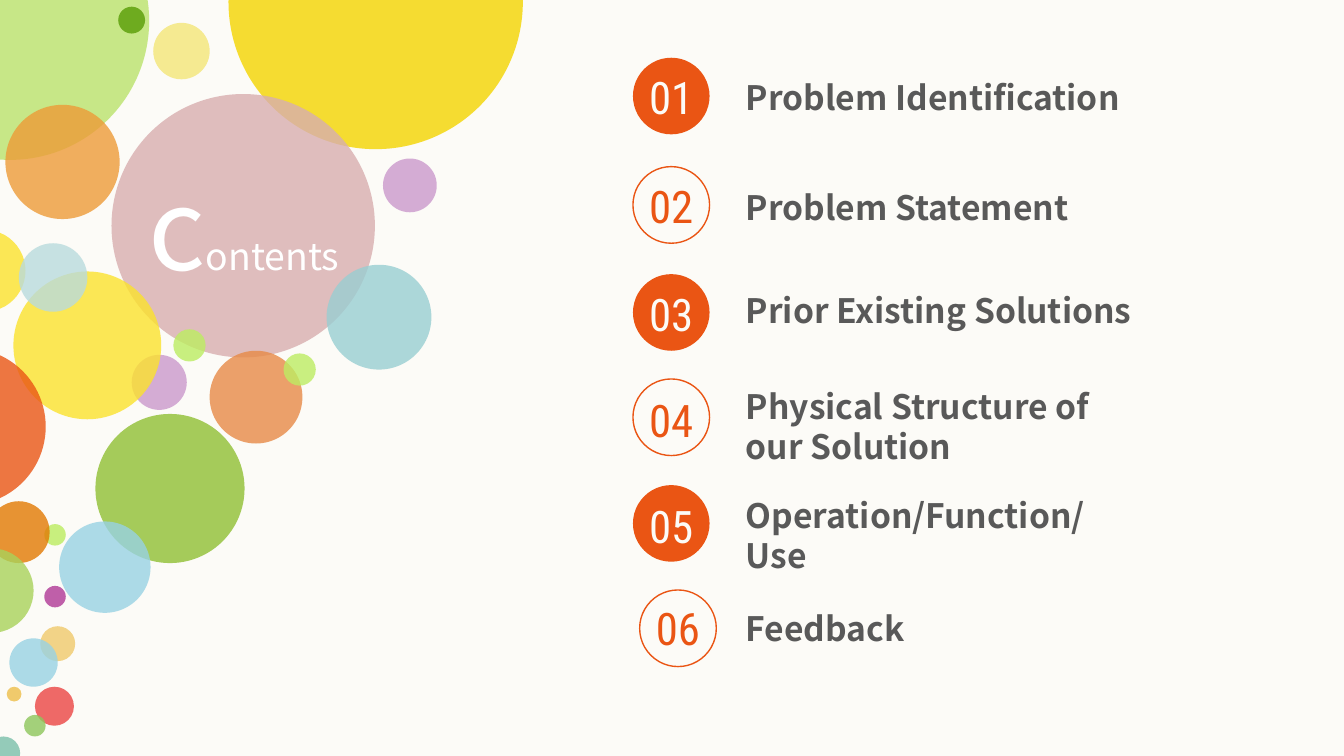
from typing import NamedTuple

from lxml import etree
from pptx import Presentation
from pptx.dml.color import RGBColor
from pptx.enum.shapes import MSO_SHAPE
from pptx.enum.text import MSO_ANCHOR, MSO_AUTO_SIZE, PP_ALIGN
from pptx.oxml.ns import qn
from pptx.util import Pt

OVAL = MSO_SHAPE.OVAL
TOP = MSO_ANCHOR.TOP
GROW = MSO_AUTO_SIZE.SHAPE_TO_FIT_TEXT
LEFT, MID = PP_ALIGN.LEFT, PP_ALIGN.CENTER
SCALE = 9144
SANS, SLIM = "Noto Sans CJK SC", "Roboto Condensed"
PAPER, WHITE, RED, GREY = "FCFBF7", "FFFFFF", "EA5514", "595959"
DISC = 57


class Bubble(NamedTuple):
    left: int
    top: int
    size: int
    hue: str
    alpha: int = 80


class Item(NamedTuple):
    text: str
    top: int
    digit: int
    label: int
    width: int = 276
    height: int = 30
    left: int = 471


class Run(NamedTuple):
    text: str
    size: int
    face: str
    hue: str
    bold: bool = False


BUBBLES = [
    Bubble(-96, -88, 207, "BAE36B"),
    Bubble(88, 5, 20, "6EAB1F", 100),
    Bubble(4, 78, 85, "ED9B38"),
    Bubble(114, 17, 42, "F5EA91", 100),
    Bubble(170, -108, 219, "F4D500"),
    Bubble(83, 70, 196, "D8AEAF"),
    Bubble(243, 197, 78, "99CED2"),
    Bubble(285, 118, 40, "CB99CC"),
    Bubble(156, 261, 69, "E78A47"),
    Bubble(71, 308, 111, "A5CB5A", 100),
    Bubble(211, 263, 24, "BDED63"),
    Bubble(129, 245, 24, "BCED61"),
    Bubble(98, 264, 41, "CB99CC"),
    Bubble(10, 202, 110, "FBE22D"),
    Bubble(-42, 171, 61, "FBE22D"),
    Bubble(33, 390, 16, "BCED60"),
    Bubble(33, 436, 16, "B03896"),
    Bubble(30, 466, 26, "F0CA6C"),
    Bubble(5, 511, 11, "F0CA6C", 100),
    Bubble(-10, 548, 25, "7BBFAA"),
    Bubble(26, 511, 29, "EB4544"),
    Bubble(18, 532, 16, "8DC65B"),
    Bubble(7, 475, 36, "98D2E3"),
    Bubble(14, 181, 51, "B9DBDD"),
    Bubble(44, 388, 68, "98D2E3"),
    Bubble(-9, 373, 46, "E27902"),
    Bubble(-38, 408, 63, "A9D25A"),
    Bubble(-83, 259, 117, RED),
]
ITEMS = [
    Item("Problem Identification", 43, 52, 57, 335),
    Item("Problem Statement", 124, 133, 139, 391),
    Item("Prior Existing Solutions", 204, 213, 216, 343),
    Item("Physical Structure of our Solution", 282, 292, 287, height=49),
    Item("Operation/Function/Use", 361, 371, 368, height=61),
    Item("Feedback", 439, 447, 452, left=476),
]


def px(n: int) -> int:
    return n * SCALE


def rgb(hue: str) -> RGBColor:
    return RGBColor.from_string(hue)


def oval(shapes, left: int, top: int, size: int):
    shape = shapes.add_shape(OVAL, px(left), px(top), px(size), px(size))
    shape.shadow.inherit = False
    return shape


def paint(shape, hue: str, alpha: int = 100) -> None:
    shape.fill.solid()
    shape.fill.fore_color.rgb = rgb(hue)
    shape.line.fill.background()
    if alpha < 100:
        tone = shape.fill._xPr.find(".//" + qn("a:srgbClr"))
        etree.SubElement(tone, qn("a:alpha"), val=str(alpha * 1000))


def ring(shape, hue: str) -> None:
    shape.fill.background()
    shape.line.color.rgb = rgb(hue)
    shape.line.width = Pt(0.75)


def write(shapes, box: tuple[int, int, int, int], runs: list[Run], align) -> None:
    frame = shapes.add_textbox(*map(px, box)).text_frame
    form = dict(word_wrap=True, auto_size=GROW, vertical_anchor=TOP,
                margin_left=0, margin_right=0, margin_top=0, margin_bottom=0)
    for key, val in form.items():
        setattr(frame, key, val)
    para = frame.paragraphs[0]
    para.alignment = align
    for run in runs:
        part = para.add_run()
        part.text = run.text
        for key, val in dict(size=Pt(run.size), name=run.face, bold=run.bold).items():
            setattr(part.font, key, val)
        part.font.color.rgb = rgb(run.hue)
        etree.SubElement(part.font._element, qn("a:ea"), typeface=run.face)


def entry(shapes, num: int, item: Item) -> None:
    disc = oval(shapes, item.left, item.top, DISC)
    if num % 2:
        paint(disc, RED)
    else:
        ring(disc, RED)
    ink = PAPER if num % 2 else RED
    write(shapes, (item.left, item.digit, DISC, 40),
          [Run(f"{num:02}", 24, SLIM, ink)], MID)
    write(shapes, (555, item.label, item.width, item.height),
          [Run(item.text, 18, SANS, GREY, True)], LEFT)


def main() -> None:
    deck = Presentation()
    deck.slide_width = px(1000)
    deck.slide_height = deck.slide_width * 9 // 16
    slide = deck.slides.add_slide(deck.slide_layouts[6])
    slide.background.fill.solid()
    slide.background.fill.fore_color.rgb = rgb(PAPER)
    for b in BUBBLES:
        paint(oval(slide.shapes, b.left, b.top, b.size), b.hue, b.alpha)
    title = [Run("c", 60, SANS, WHITE), Run("ontents", 20, SANS, WHITE)]
    write(slide.shapes, (106, 118, 151, 101), title, MID)
    for num, item in enumerate(ITEMS, 1):
        entry(slide.shapes, num, item)
    deck.save("out.pptx")


if __name__ == "__main__":
    main()
